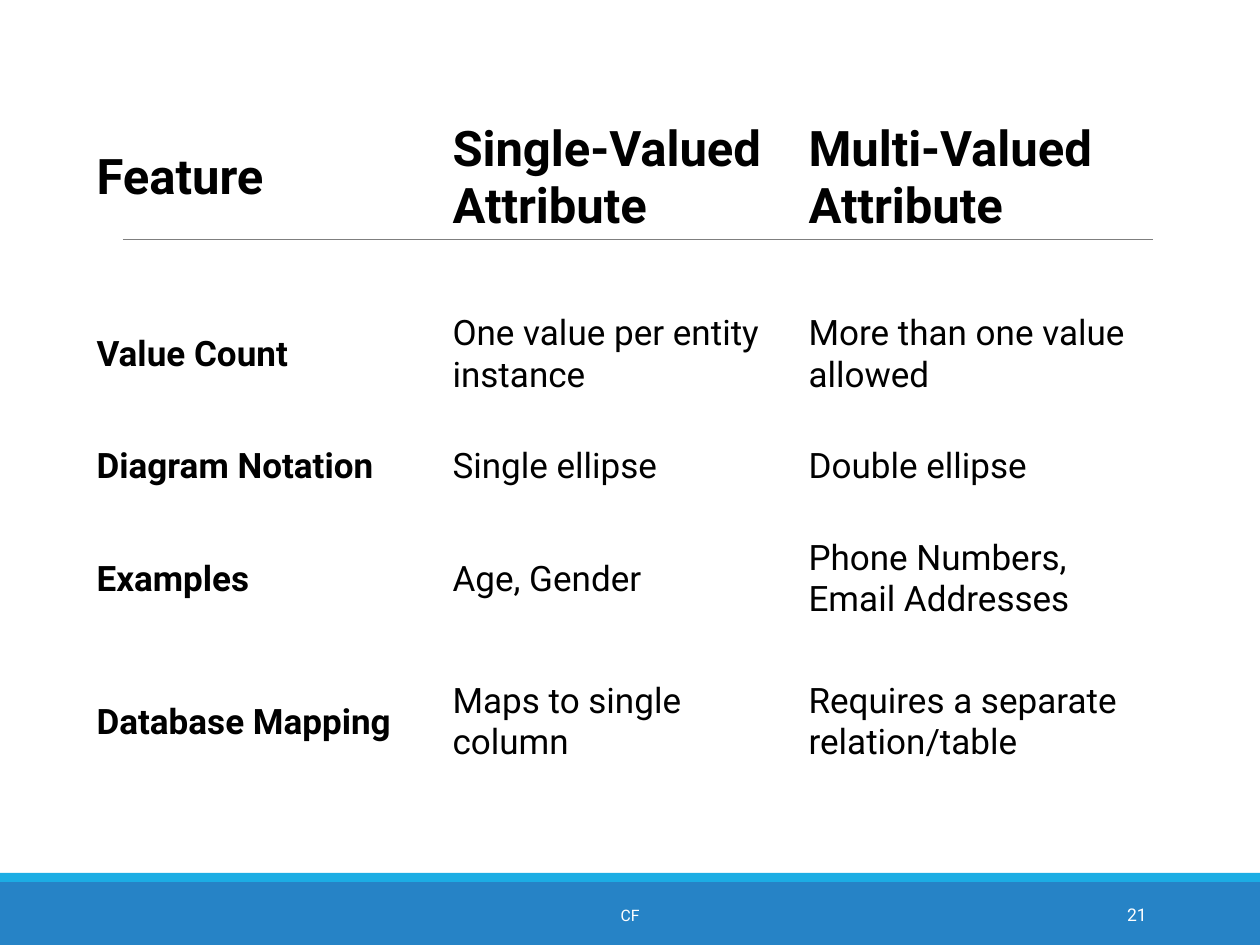
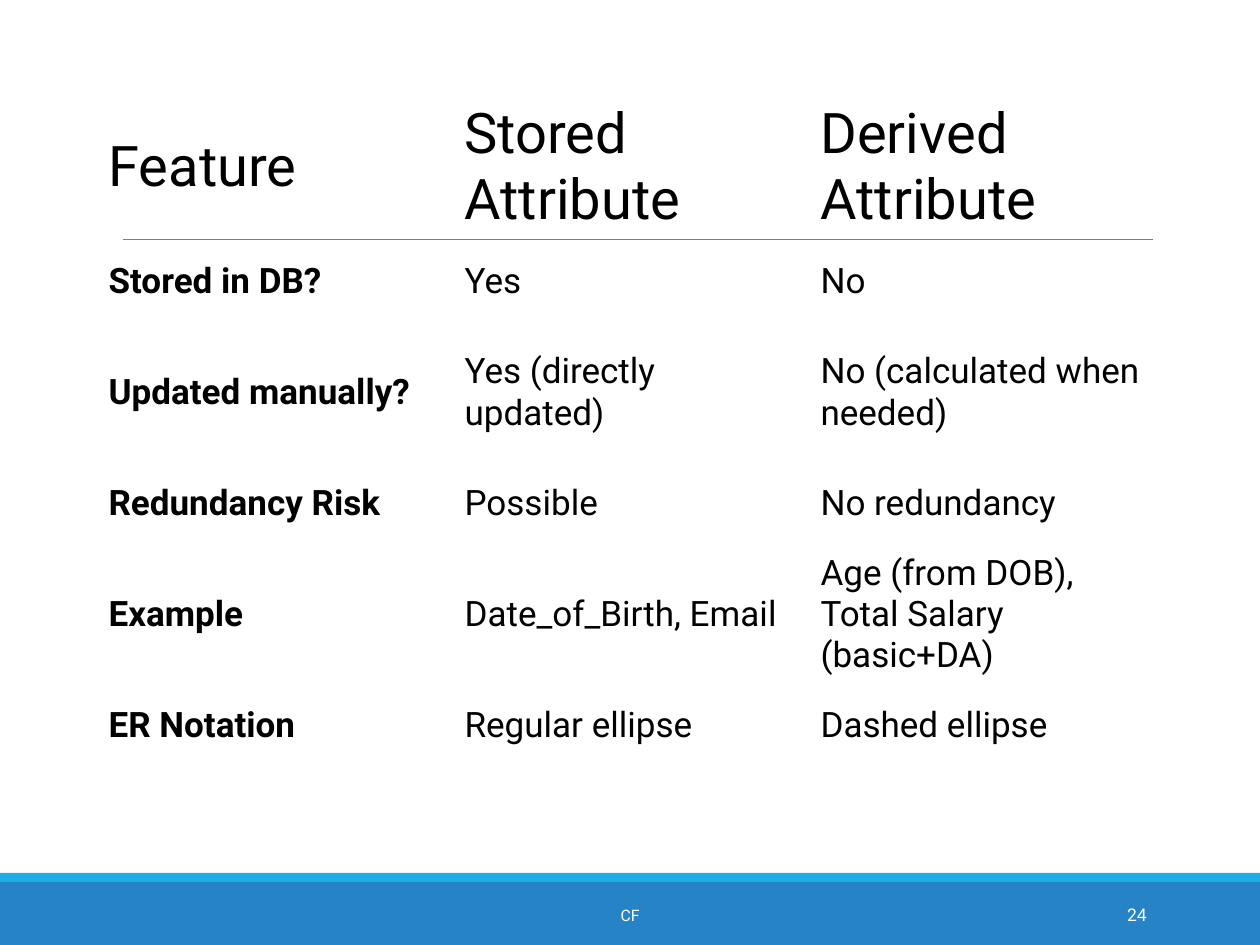
from pptx import Presentation
from pptx.dml.color import RGBColor
from pptx.enum.shapes import MSO_CONNECTOR, MSO_SHAPE
from pptx.enum.text import MSO_ANCHOR, PP_ALIGN
from pptx.oxml.ns import qn
from pptx.util import Pt
from lxml.etree import SubElement

PX = 914400 // 126
WIDTH, HEIGHT = 1260, 945
FONT = "Roboto"
COLORS = {"band": "2683C6", "stripe": "1CADE4", "rule": "7F7F7F",
          "text": "000000", "footer": "FFFFFF"}
NO_GRID_STYLE = "{2D5ABB26-0587-4C30-8999-92F81FD0307C}"


def px(*lengths):
    return [n * PX for n in lengths]


def rgb(name):
    return RGBColor.from_string(COLORS[name])


class Deck:
    def __init__(self):
        self.prs = Presentation()
        self.prs.slide_width, self.prs.slide_height = px(WIDTH, HEIGHT)
        self.s = None

    def add_slide(self, number):
        """Start a slide with the shared bands, rule and footer."""
        self.s = self.prs.slides.add_slide(self.prs.slide_layouts[6])
        self.rect(0, 882, WIDTH, 63, "band")
        self.rect(0, 873, WIDTH, 9, "stripe")
        self.line(123, 239, 1153, 239, "rule", 0.5)
        self.text(381, 890, 498, 50, "CF", 9, PP_ALIGN.CENTER)
        self.text(1023, 890, 136, 50, str(number), 10, PP_ALIGN.RIGHT)

    def rect(self, x, y, w, h, color):
        sp = self.s.shapes.add_shape(MSO_SHAPE.RECTANGLE, *px(x, y, w, h))
        sp.shadow.inherit = False
        sp.fill.solid()
        sp.fill.fore_color.rgb = rgb(color)
        sp.line.fill.background()

    def line(self, x1, y1, x2, y2, color, width):
        cn = self.s.shapes.add_connector(MSO_CONNECTOR.STRAIGHT, *px(x1, y1, x2, y2))
        cn.line.color.rgb = rgb(color)
        cn.line.width = Pt(width)
        SubElement(cn._element.spPr, qn("a:effectLst"))

    def run(self, p, text, size, color, bold=False):
        r = p.add_run()
        r.text = text
        r.font.name = FONT
        r.font.size = Pt(size)
        r.font.bold = bold
        r.font.color.rgb = rgb(color)

    def text(self, x, y, w, h, text, size, align):
        tf = self.s.shapes.add_textbox(*px(x, y, w, h)).text_frame
        tf.word_wrap = True
        tf.vertical_anchor = MSO_ANCHOR.MIDDLE
        p = tf.paragraphs[0]
        p.alignment = align
        self.run(p, text, size, "footer")

    def table(self, x, y, col_width, row_heights, rows, head_size, head_bold):
        """Add an unfilled table: a large header row, then a bold first column."""
        cols = len(rows[0])
        frame = self.s.shapes.add_table(
            len(rows), cols, *px(x, y, col_width * cols, sum(row_heights)))
        table = frame.table
        table.horz_banding = table.first_row = False
        next(frame._element.iter(qn("a:tableStyleId"))).text = NO_GRID_STYLE
        for col in table.columns:
            col.width = col_width * PX
        for i, (height, values) in enumerate(zip(row_heights, rows)):
            table.rows[i].height = height * PX
            for j, value in enumerate(values):
                cell = table.cell(i, j)
                cell.fill.background()
                cell.vertical_anchor = MSO_ANCHOR.MIDDLE
                size, bold = (20, j == 0) if i else (head_size, head_bold)
                self.run(cell.text_frame.paragraphs[0], value, size, "text", bold)


def main():
    deck = Deck()

    deck.add_slide(21)
    deck.table(84, 73, 356, [210, 143, 82, 143, 143], [
        ["Feature", "Single-Valued Attribute", "Multi-Valued Attribute"],
        ["Value Count", "One value per entity instance", "More than one value allowed"],
        ["Diagram Notation", "Single ellipse", "Double ellipse"],
        ["Examples", "Age, Gender", "Phone Numbers, Email Addresses"],
        ["Database Mapping", "Maps to single column", "Requires a separate relation/table"],
    ], head_size=28, head_bold=True)

    deck.add_slide(24)
    deck.table(96, 94, 356, [147, 81, 141, 81, 141, 81], [
        ["Feature", "Stored Attribute", "Derived Attribute"],
        ["Stored in DB?", "Yes", "No"],
        ["Updated manually?", "Yes (directly updated)", "No (calculated when needed)"],
        ["Redundancy Risk", "Possible", "No redundancy"],
        ["Example", "Date_of_Birth, Email", "Age (from DOB), Total Salary (basic+DA)"],
        ["ER Notation", "Regular ellipse", "Dashed ellipse"],
    ], head_size=32, head_bold=False)

    deck.prs.save("out.pptx")


if __name__ == "__main__":
    main()
